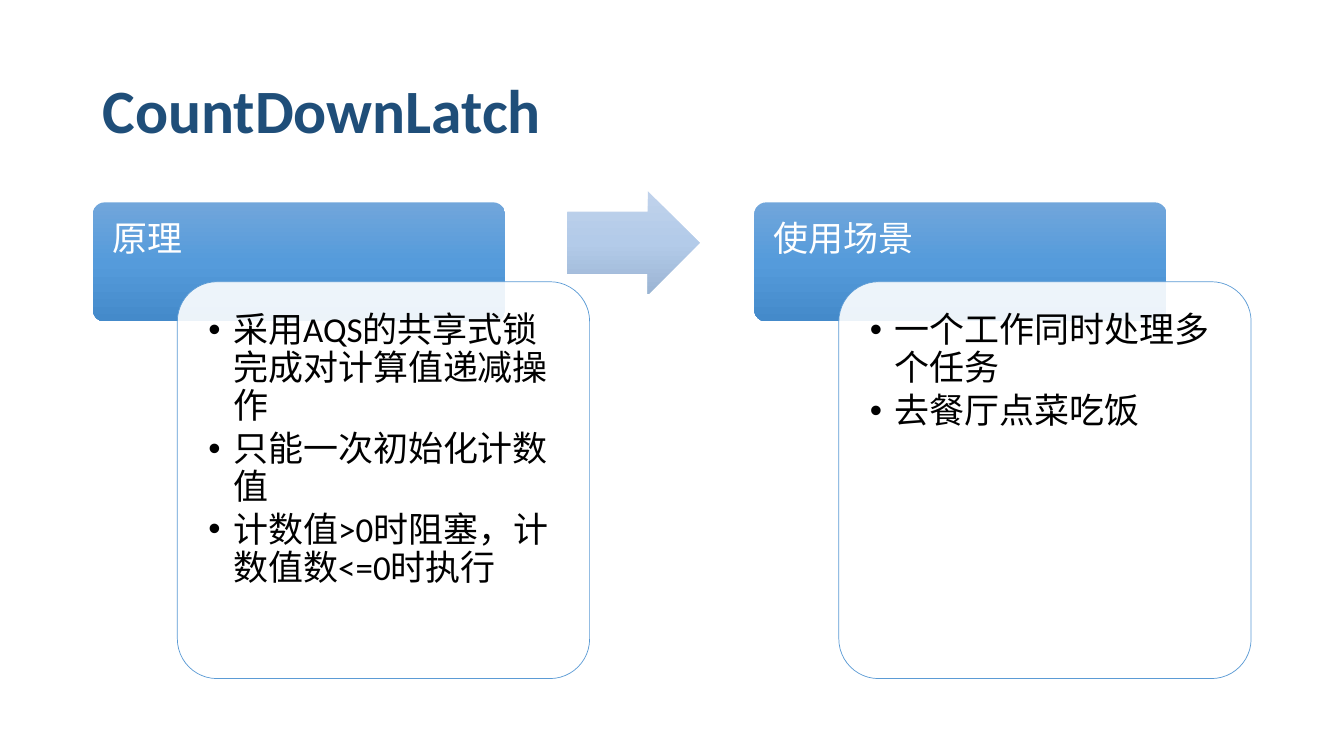
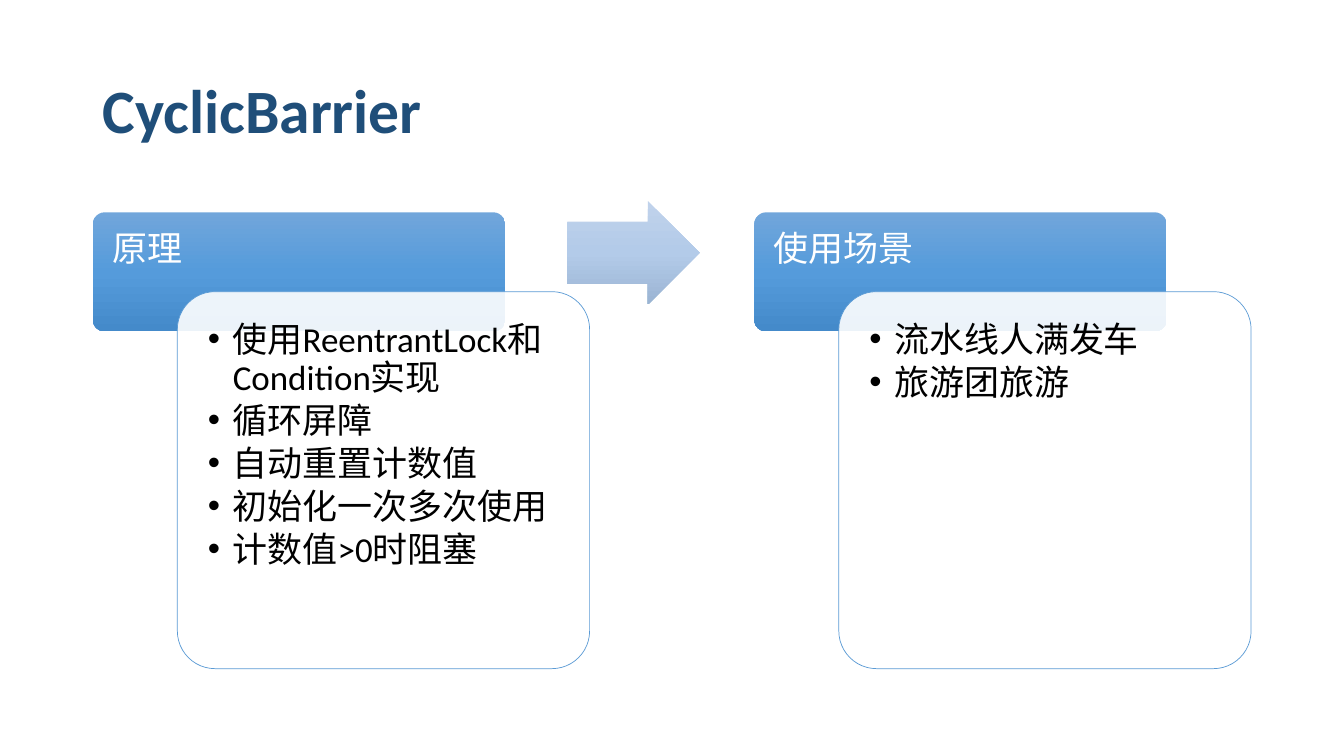
import copy

import pptx
import pptx.dml.color
import pptx.enum.shapes
import pptx.enum.text
import pptx.oxml
import pptx.oxml.ns
import pptx.util
from pptx.dml.color import RGBColor
from pptx.enum.shapes import MSO_SHAPE
from pptx.enum.text import MSO_ANCHOR, MSO_AUTO_SIZE, PP_ALIGN
from pptx.util import Cm, Pt

FONT = "Calibri"
TITLE_BLUE = RGBColor(0x1F, 0x4E, 0x79)
OUTLINE_BLUE = RGBColor(0x5B, 0x9B, 0xD5)
WHITE = RGBColor(0xFF, 0xFF, 0xFF)
BLACK = RGBColor(0x00, 0x00, 0x00)
HEADER_GRADIENT = (RGBColor(0x71, 0xA6, 0xDB), RGBColor(0x55, 0x9B, 0xDB),
                   RGBColor(0x44, 0x8A, 0xCA))
ARROW_GRADIENT = (RGBColor(0xC0, 0xD2, 0xEB), RGBColor(0xB3, 0xCB, 0xE9),
                  RGBColor(0x9B, 0xB4, 0xD3))

# Layout, in centimetres
DIAGRAM_MIDDLE = 11.1
COLUMN_LEFT = 2.34
COLUMN_STEP = 16.67
BOX_WIDTH = 10.39
HEADER_HEIGHT = 3
CARD_SHIFT_X = 2.13
CARD_SHIFT_Y = 2
ARROW_LEFT = 14.3
ARROW_RISE = 0.28
BULLET_INDENT = 0.63

# Title, card height, and one (header, bullets) pair for each column
SLIDES = [
    ("CountDownLatch", 10, [
        ("原理", ["采用AQS的共享式锁完成对计算值递减操作",
                "只能一次初始化计数值",
                "计数值>0时阻塞，计数值数<=0时执行"]),
        ("使用场景", ["一个工作同时处理多个任务", "去餐厅点菜吃饭"]),
    ]),
    ("CyclicBarrier", 9.5, [
        ("原理", ["使用ReentrantLock和Condition实现",
                "循环屏障",
                "自动重置计数值",
                "初始化一次多次使用",
                "计数值>0时阻塞"]),
        ("使用场景", ["流水线人满发车", "旅游团旅游"]),
    ]),
]


def style_paragraph(para, size, color, bold=False):
    para.alignment = PP_ALIGN.LEFT
    para.line_spacing = 0.9
    para.font.name = FONT
    para.font.size = Pt(size)
    para.font.bold = bold
    para.font.color.rgb = color


def add_bullet(para):
    """Give the paragraph a round bullet with a hanging indent."""
    properties = para._p.get_or_add_pPr()
    properties.set("marL", str(Cm(BULLET_INDENT)))
    properties.set("indent", str(-Cm(BULLET_INDENT)))
    namespace = pptx.oxml.ns.nsdecls("a")
    for markup in (f'<a:buFont {namespace} typeface="Arial"/>',
                   f'<a:buChar {namespace} char="•"/>'):
        properties.append(pptx.oxml.parse_xml(markup))


def fill_gradient(shape, colors):
    """Fill from top to bottom with three evenly spaced colours."""
    shape.fill.gradient()
    shape.fill.gradient_angle = 270
    stop_list = shape._element.spPr.find(".//" + pptx.oxml.ns.qn("a:gsLst"))
    stop_list.insert(1, copy.deepcopy(stop_list[0]))
    for index, (stop, color) in enumerate(zip(shape.fill.gradient_stops, colors)):
        stop.position = index / 2
        stop.color.rgb = color


def set_opacity(shape, percent):
    color = shape._element.spPr.find(".//" + pptx.oxml.ns.qn("a:srgbClr"))
    color.append(pptx.oxml.parse_xml(
        f'<a:alpha {pptx.oxml.ns.nsdecls("a")} val="{percent * 1000}"/>'))


def add_plain_shape(page, kind, left, top, width, height, *adjustments):
    shape = page.shapes.add_shape(kind, Cm(left), Cm(top), Cm(width), Cm(height))
    shape.shadow.inherit = False
    shape.line.fill.background()
    for index, value in enumerate(adjustments):
        shape.adjustments[index] = value
    return shape


def add_rounded_box(page, left, top, height, inset):
    box = add_plain_shape(page, MSO_SHAPE.ROUNDED_RECTANGLE,
                          left, top, BOX_WIDTH, height, 0.1)
    frame = box.text_frame
    frame.word_wrap = True
    frame.vertical_anchor = MSO_ANCHOR.TOP
    frame.margin_left = frame.margin_right = Cm(inset)
    frame.margin_top = frame.margin_bottom = Cm(inset)
    return box


def add_header(page, left, top, text):
    header = add_rounded_box(page, left, top, HEADER_HEIGHT, 0.4)
    fill_gradient(header, HEADER_GRADIENT)
    para = header.text_frame.paragraphs[0]
    para.text = text
    style_paragraph(para, 25, WHITE)


def add_card(page, left, top, height, bullets):
    card = add_rounded_box(page, left, top, height, 0.49)
    card.fill.solid()
    card.fill.fore_color.rgb = WHITE
    set_opacity(card, 90)
    card.line.color.rgb = OUTLINE_BLUE
    card.line.width = Pt(0.5)
    frame = card.text_frame
    for index, text in enumerate(bullets):
        para = frame.add_paragraph() if index else frame.paragraphs[0]
        para.text = text
        add_bullet(para)
        para.space_after = Pt(3.75)
        style_paragraph(para, 25, BLACK)


def add_arrow(page, top):
    arrow = add_plain_shape(page, MSO_SHAPE.RIGHT_ARROW,
                            ARROW_LEFT, top, 3.33, 2.6, 0.6, 0.5)
    fill_gradient(arrow, ARROW_GRADIENT)


def set_title(page, text):
    title = page.shapes.title
    title.left, title.top = Cm(2.33), Cm(1.01)
    title.width, title.height = Cm(29.21), Cm(3.68)
    frame = title.text_frame
    frame.auto_size = MSO_AUTO_SIZE.NONE
    frame.vertical_anchor = MSO_ANCHOR.MIDDLE
    frame.text = text
    style_paragraph(frame.paragraphs[0], 44, TITLE_BLUE, bold=True)


def add_page(deck, title, card_height, columns):
    page = deck.slides.add_slide(deck.slide_layouts[5])
    set_title(page, title)
    top = DIAGRAM_MIDDLE - (CARD_SHIFT_Y + card_height) / 2
    add_arrow(page, top - ARROW_RISE)
    for index, (header, bullets) in enumerate(columns):
        left = COLUMN_LEFT + index * COLUMN_STEP
        add_header(page, left, top, header)
        add_card(page, left + CARD_SHIFT_X, top + CARD_SHIFT_Y, card_height, bullets)


def main():
    deck = pptx.Presentation()
    deck.slide_width, deck.slide_height = Cm(33.87), Cm(19.05)
    for title, card_height, columns in SLIDES:
        add_page(deck, title, card_height, columns)
    deck.save("out.pptx")


if __name__ == "__main__":
    main()
